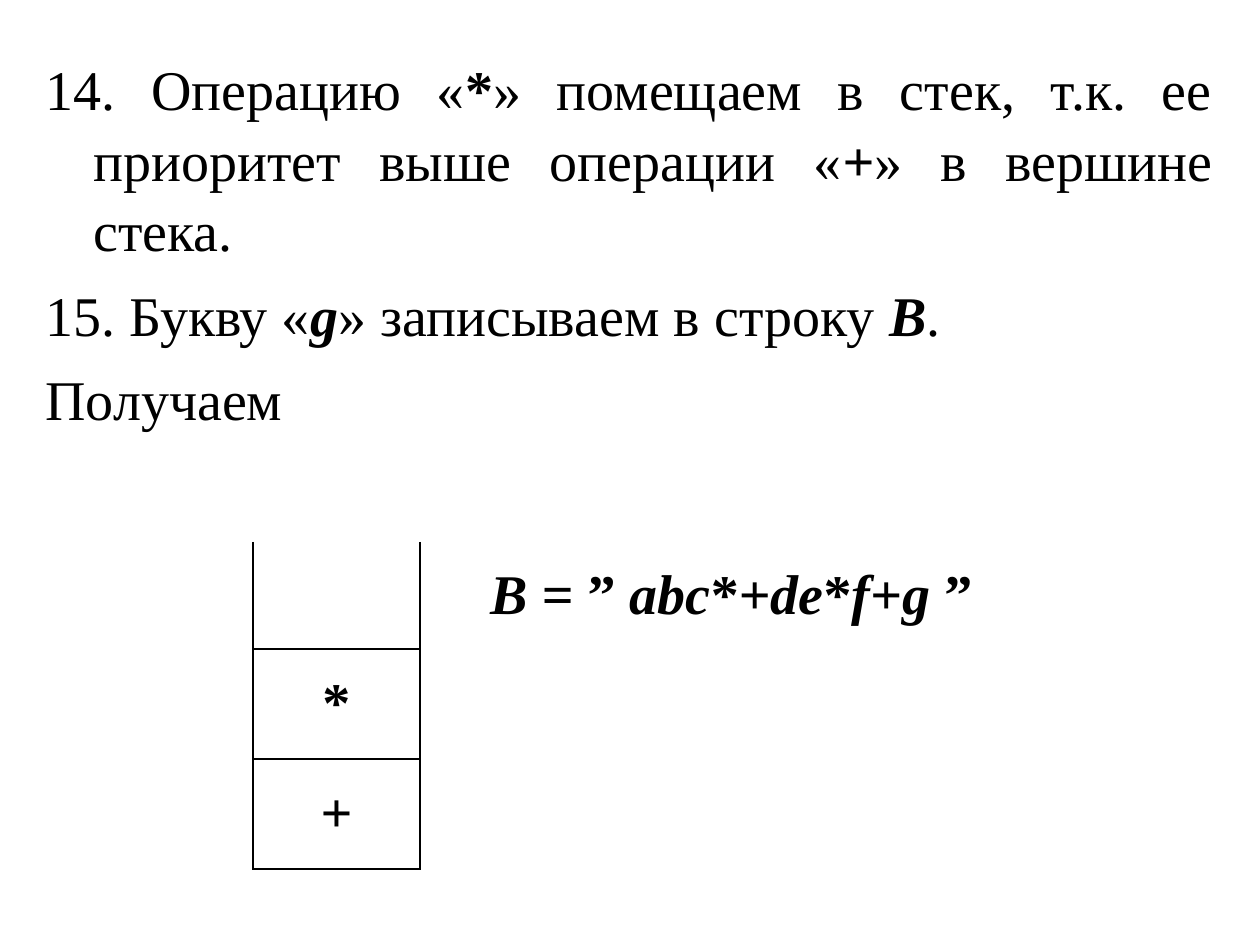
import pptx
import pptx.util
import pptx.dml.color
import pptx.enum.text
import pptx.oxml
import pptx.oxml.ns
from dataclasses import dataclass

EMU_PER_PX = 914400 // 126
ALIGN = pptx.enum.text.PP_ALIGN


@dataclass(frozen=True)
class Theme:
    font: str = "Times New Roman"
    size: int = 32
    ink: str = "000000"
    rule_width: float = 1.08
    space_before: int = 8
    line_spacing: float = 1.05


THEME = Theme()

# Each run is its text and its style letters: b for bold, i for italic
STEPS = [
    [("14. Операцию «", ""), ("*", "b"),
     ("» помещаем в стек, т.к. ее приоритет выше операции «", ""),
     ("+", "b"), ("» в вершине стека. ", "")],
    [("15. Букву «", ""), ("g", "bi"), ("» записываем в строку ", ""),
     ("В", "bi"), (".", "")],
    [("Получаем", "")],
]
OUTPUT_STRING = [
    ("В", "bi"), (" = ” ", "b"), ("abс", "bi"), ("*+", "b"), ("de", "bi"),
    ("*", "b"), ("f", "bi"), ("+", "b"), ("g ", "bi"), ("” ", "b"),
]
STACK = ["*", "+"]


def px(length):
    return pptx.util.Emu(length * EMU_PER_PX)


def write_paragraph(paragraph, runs, align):
    paragraph.alignment = align
    paragraph.space_before = pptx.util.Pt(THEME.space_before)
    font = paragraph.font
    font.name = THEME.font
    font.size = pptx.util.Pt(THEME.size)
    font.color.rgb = pptx.dml.color.RGBColor.from_string(THEME.ink)
    for text, style in runs:
        run = paragraph.add_run()
        run.text = text
        run.font.bold = "b" in style
        run.font.italic = "i" in style


def add_steps(slide, left, top, width, height, indent):
    frame = slide.shapes.add_textbox(px(left), px(top), px(width), px(height)).text_frame
    frame.word_wrap = True
    for number, runs in enumerate(STEPS):
        paragraph = frame.add_paragraph() if number else frame.paragraphs[0]
        write_paragraph(paragraph, runs, ALIGN.JUSTIFY)
        paragraph.line_spacing = THEME.line_spacing
        # Hanging indent
        properties = paragraph._p.get_or_add_pPr()
        properties.set("marL", str(px(indent)))
        properties.set("indent", str(px(-indent)))


def set_borders(cell, ruled_sides):
    """Rule the named sides (L, R, T, B) and leave the others open."""
    properties = cell._tc.get_or_add_tcPr()
    width = pptx.util.Pt(THEME.rule_width)
    namespace = pptx.oxml.ns.nsdecls("a")
    for position, side in enumerate("LRTB"):
        if side in ruled_sides:
            paint = f'<a:solidFill><a:srgbClr val="{THEME.ink}"/></a:solidFill>'
        else:
            paint = "<a:noFill/>"
        border = pptx.oxml.parse_xml(
            f'<a:ln{side} {namespace} w="{width}">{paint}</a:ln{side}>')
        properties.insert(position, border)


def write_cell(cell, runs):
    cell.vertical_anchor = pptx.enum.text.MSO_ANCHOR.MIDDLE
    write_paragraph(cell.text_frame.paragraphs[0], runs, ALIGN.CENTER)


def add_stack_table(slide, left, top, column_widths, row_heights):
    table = slide.shapes.add_table(
        len(row_heights), len(column_widths), px(left), px(top),
        px(sum(column_widths)), px(sum(row_heights))).table
    table.first_row = table.horz_banding = False
    for column, width in zip(table.columns, column_widths):
        column.width = px(width)
    for row, height in zip(table.rows, row_heights):
        row.height = px(height)
    for cell in table.iter_cells():
        cell.fill.background()

    # The stack is open at the top; the string column has only its left rule
    for level in range(len(row_heights)):
        set_borders(table.cell(level, 0), "LRTB" if level else "LRB")
        set_borders(table.cell(level, 1), "L")
    for level, operation in enumerate(STACK, start=1):
        write_cell(table.cell(level, 0), [(operation, "b")])
    write_cell(table.cell(0, 1), OUTPUT_STRING)


def main():
    deck = pptx.Presentation()
    deck.slide_width, deck.slide_height = px(1260), px(945)
    slide = deck.slides.add_slide(deck.slide_layouts[6])

    # Steps of the conversion
    add_steps(slide, 33, 45, 1192, 427, indent=48)
    # Operation stack with the output string beside it
    add_stack_table(slide, 253, 542, [167, 637], [107, 110, 110])

    deck.save("out.pptx")


if __name__ == "__main__":
    main()
